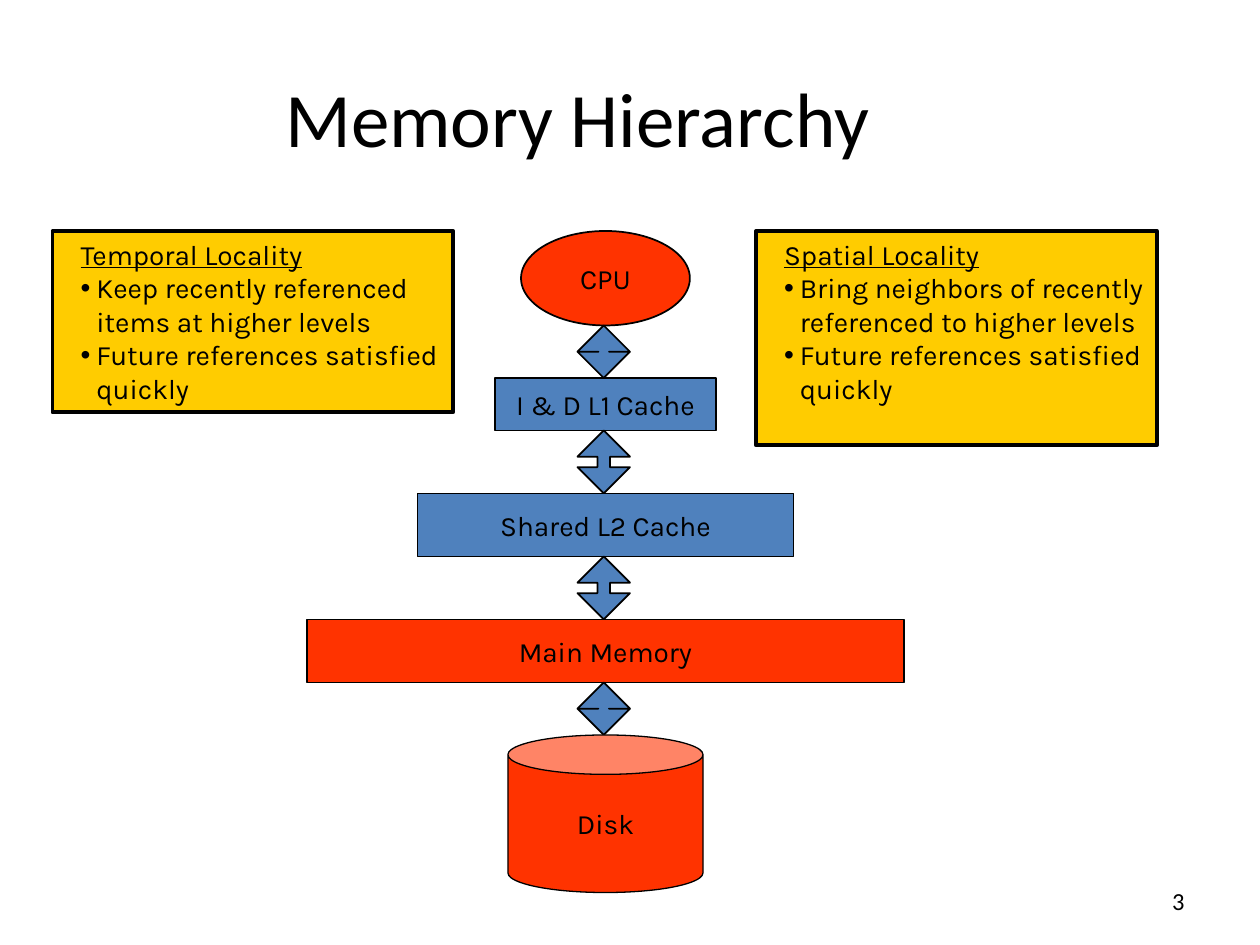
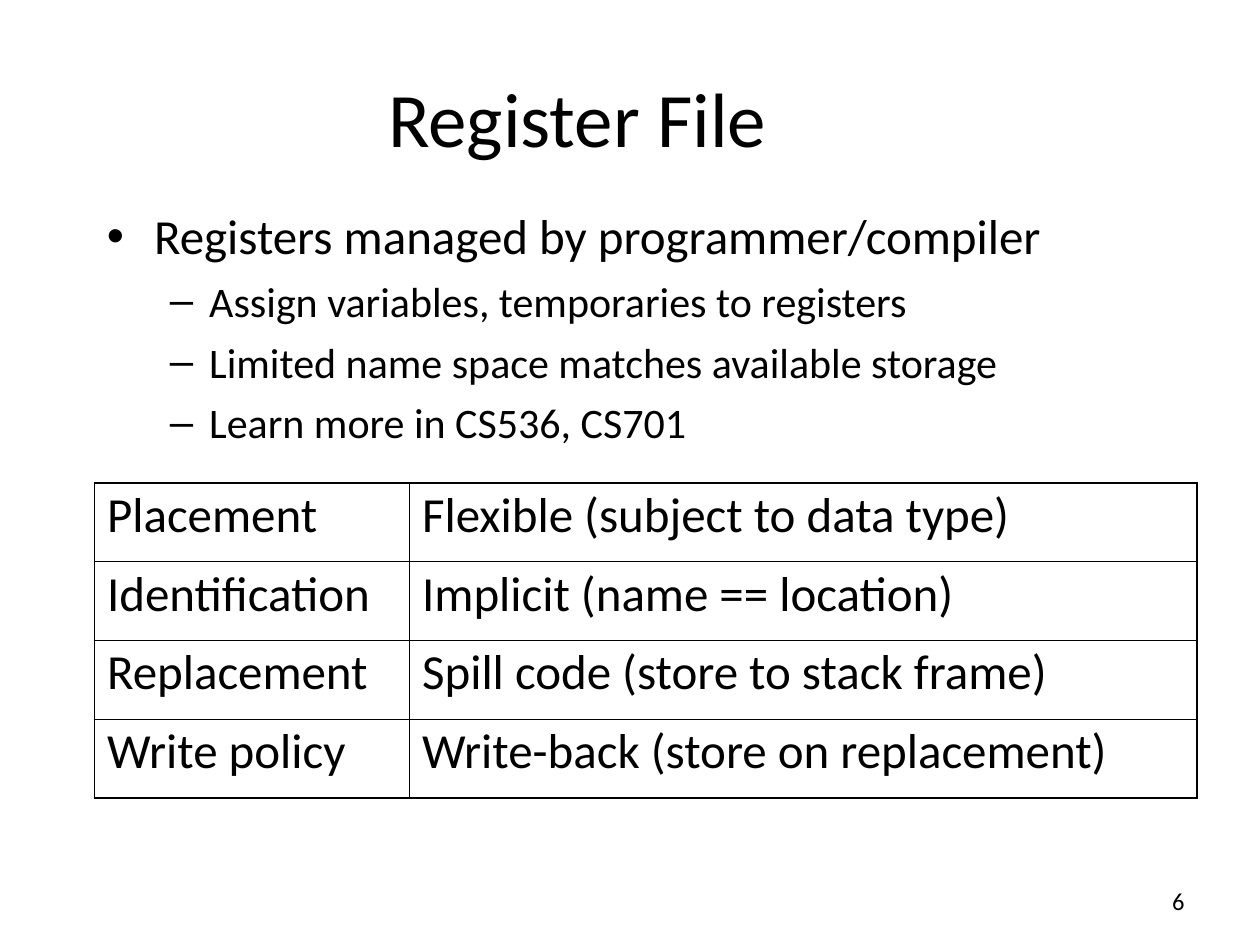
from dataclasses import dataclass

import pptx
import pptx.dml.color
import pptx.enum.shapes
import pptx.enum.text
import pptx.oxml
import pptx.oxml.ns
import pptx.util

Pt = pptx.util.Pt
RGB = pptx.dml.color.RGBColor.from_string
SHAPE = pptx.enum.shapes.MSO_SHAPE
ANCHOR = pptx.enum.text.MSO_ANCHOR
ALIGN = pptx.enum.text.PP_ALIGN
NAMESPACE = pptx.oxml.ns.nsdecls("a")


@dataclass(frozen=True)
class Theme:
    black: str = "000000"
    red: str = "FF3300"
    blue: str = "4F81BD"
    yellow: str = "FFCC00"
    text_font: str = "Calibri"
    diagram_font: str = "Karla"
    title_size: float = 44
    body_size: float = 28
    sub_size: float = 24
    diagram_size: float = 16
    number_size: float = 14


THEME = Theme()

HIERARCHY_TITLE = "Memory Hierarchy"
HIERARCHY_NUMBER = "3"
# label, shape, fill, width, height, outline, gap to the next level
LEVELS = [
    ("CPU", SHAPE.OVAL, THEME.red, 96.5, 54, 1, 30),
    ("I & D L1 Cache", SHAPE.RECTANGLE, THEME.blue, 126, 30, 1, 36),
    ("Shared L2 Cache", SHAPE.RECTANGLE, THEME.blue, 215, 36, 1, 36),
    ("Main Memory", SHAPE.RECTANGLE, THEME.red, 341, 36, 1, 30),
    ("Disk", SHAPE.CAN, THEME.red, 111.5, 90, 0.75, 0),
]
# left, height, heading, points
LOCALITIES = [
    (30, 103.5, "Temporal Locality",
     ["Keep recently referenced items at higher levels",
      "Future references satisfied quickly"]),
    (432, 122.5, "Spatial Locality",
     ["Bring neighbors of recently referenced to higher levels",
      "Future references satisfied quickly"]),
]
DIAGRAM_TOP = 132
LEVEL_CENTER = 346
ARROW_CENTER = 345
ARROW_WIDTH = 30
LOCALITY_WIDTH = 229

REGISTER_TITLE = "Register File"
REGISTER_NUMBER = "6"
REGISTER_HEADLINE = "Registers managed by programmer/compiler"
REGISTER_POINTS = [
    "Assign variables, temporaries to registers",
    "Limited name space matches available storage",
    "Learn more in CS536, CS701",
]
POLICIES = [
    ("Placement", "Flexible (subject to data type)"),
    ("Identification", "Implicit (name == location)"),
    ("Replacement", "Spill code (store to stack frame)"),
    ("Write policy", "Write-back (store on replacement)"),
]
POLICY_COLUMNS = (180, 450)
POLICY_ROW_HEIGHT = 45
OUTER_BORDER, INNER_BORDER = 1.08, 0.45


def format_runs(paragraph, font, size, underline=False):
    for run in paragraph.runs:
        run.font.name = font
        run.font.size = Pt(size)
        run.font.color.rgb = RGB(THEME.black)
        run.font.underline = underline


def set_indent(paragraph, left, first, bullet=None):
    properties = paragraph._p.get_or_add_pPr()
    properties.set("marL", str(Pt(left)))
    properties.set("indent", str(Pt(first)))
    if bullet:
        for element in (
            f'<a:buClr {NAMESPACE}><a:srgbClr val="{THEME.black}"/></a:buClr>',
            f'<a:buFont {NAMESPACE} typeface="Arial"/>',
            f'<a:buChar {NAMESPACE} char="{bullet}"/>',
        ):
            properties.append(pptx.oxml.parse_xml(element))


def add_titled_slide(presentation, title, number):
    slide = presentation.slides.add_slide(presentation.slide_layouts[5])
    placeholder = slide.shapes.title
    placeholder.left, placeholder.top = Pt(36), Pt(21.5)
    placeholder.width, placeholder.height = Pt(588), Pt(90)
    placeholder.text_frame.text = title
    placeholder.text_frame.vertical_anchor = ANCHOR.MIDDLE
    paragraph = placeholder.text_frame.paragraphs[0]
    paragraph.alignment = ALIGN.CENTER
    format_runs(paragraph, THEME.text_font, THEME.title_size)

    frame = slide.shapes.add_textbox(Pt(600), Pt(500.5), Pt(84), Pt(28.5)).text_frame
    frame.word_wrap = True
    frame.vertical_anchor = ANCHOR.MIDDLE
    frame.text = number
    frame.paragraphs[0].alignment = ALIGN.RIGHT
    format_runs(frame.paragraphs[0], THEME.text_font, THEME.number_size)
    return slide


def add_filled_shape(slide, kind, left, top, width, height, fill, outline):
    shape = slide.shapes.add_shape(kind, Pt(left), Pt(top), Pt(width), Pt(height))
    shape.shadow.inherit = False
    shape.fill.solid()
    shape.fill.fore_color.rgb = RGB(fill)
    shape.line.color.rgb = RGB(THEME.black)
    shape.line.width = Pt(outline)
    return shape


def add_levels(slide):
    top = DIAGRAM_TOP
    for label, kind, fill, width, height, outline, gap in LEVELS:
        level = add_filled_shape(slide, kind, LEVEL_CENTER - width / 2, top,
                                 width, height, fill, outline)
        frame = level.text_frame
        frame.word_wrap = False
        frame.vertical_anchor = ANCHOR.MIDDLE
        frame.text = label
        frame.paragraphs[0].alignment = ALIGN.CENTER
        format_runs(frame.paragraphs[0], THEME.diagram_font, THEME.diagram_size)
        top += height
        if gap:
            arrow = add_filled_shape(slide, SHAPE.UP_DOWN_ARROW,
                                     ARROW_CENTER - ARROW_WIDTH / 2, top,
                                     ARROW_WIDTH, gap, THEME.blue, 1)
            arrow.adjustments[0] = 0.5
            arrow.adjustments[1] = 0.2 * gap / ARROW_WIDTH
        top += gap


def add_locality(slide, left, height, heading, points):
    box = add_filled_shape(slide, SHAPE.RECTANGLE, left, DIAGRAM_TOP,
                           LOCALITY_WIDTH, height, THEME.yellow, 2.25)
    frame = box.text_frame
    frame.word_wrap = True
    frame.vertical_anchor = ANCHOR.TOP
    frame.text = "\n".join([heading, *points])
    for index, paragraph in enumerate(frame.paragraphs):
        paragraph.alignment = ALIGN.LEFT
        set_indent(paragraph, 18, -9, "•" if index else None)
        format_runs(paragraph, THEME.diagram_font, THEME.diagram_size,
                    underline=index == 0)


def add_register_points(slide):
    frame = slide.shapes.add_textbox(Pt(54), Pt(114), Pt(612), Pt(162)).text_frame
    frame.word_wrap = True
    frame.text = "\n".join([REGISTER_HEADLINE, *REGISTER_POINTS])
    headline, *points = frame.paragraphs
    set_indent(headline, 27, -27, "•")
    format_runs(headline, THEME.text_font, THEME.body_size)
    for point in points:
        point.level = 1
        point.space_before = Pt(6)
        set_indent(point, 58.5, -22.5, "–")
        format_runs(point, THEME.text_font, THEME.sub_size)


def set_borders(cell, widths):
    """Draw the cell's left, right, top and bottom lines, in that order."""
    properties = cell._tc.get_or_add_tcPr()
    for index, (side, width) in enumerate(zip("LRTB", widths)):
        properties.insert(index, pptx.oxml.parse_xml(
            f'<a:ln{side} {NAMESPACE} w="{Pt(width)}"><a:solidFill>'
            f'<a:srgbClr val="{THEME.black}"/></a:solidFill></a:ln{side}>'))


def add_policy_table(slide):
    row_count, column_count = len(POLICIES), len(POLICY_COLUMNS)
    table = slide.shapes.add_table(
        row_count, column_count, Pt(54), Pt(276), Pt(sum(POLICY_COLUMNS)),
        Pt(row_count * POLICY_ROW_HEIGHT)).table
    table.first_row = table.horz_banding = False
    for column, width in zip(table.columns, POLICY_COLUMNS):
        column.width = Pt(width)
    for row_index, policy in enumerate(POLICIES):
        table.rows[row_index].height = Pt(POLICY_ROW_HEIGHT)
        for column_index, text in enumerate(policy):
            cell = table.cell(row_index, column_index)
            cell.fill.background()
            cell.text_frame.text = text
            paragraph = cell.text_frame.paragraphs[0]
            paragraph.line_spacing = 0.9
            format_runs(paragraph, THEME.text_font, THEME.body_size)
            on_edge = (column_index == 0, column_index == column_count - 1,
                       row_index == 0, row_index == row_count - 1)
            set_borders(cell, [OUTER_BORDER if edge else INNER_BORDER
                               for edge in on_edge])


def main():
    presentation = pptx.Presentation()
    presentation.slide_width, presentation.slide_height = Pt(720), Pt(540)

    hierarchy = add_titled_slide(presentation, HIERARCHY_TITLE, HIERARCHY_NUMBER)
    add_levels(hierarchy)
    for locality in LOCALITIES:
        add_locality(hierarchy, *locality)

    registers = add_titled_slide(presentation, REGISTER_TITLE, REGISTER_NUMBER)
    add_register_points(registers)
    add_policy_table(registers)

    presentation.save("out.pptx")


if __name__ == "__main__":
    main()
